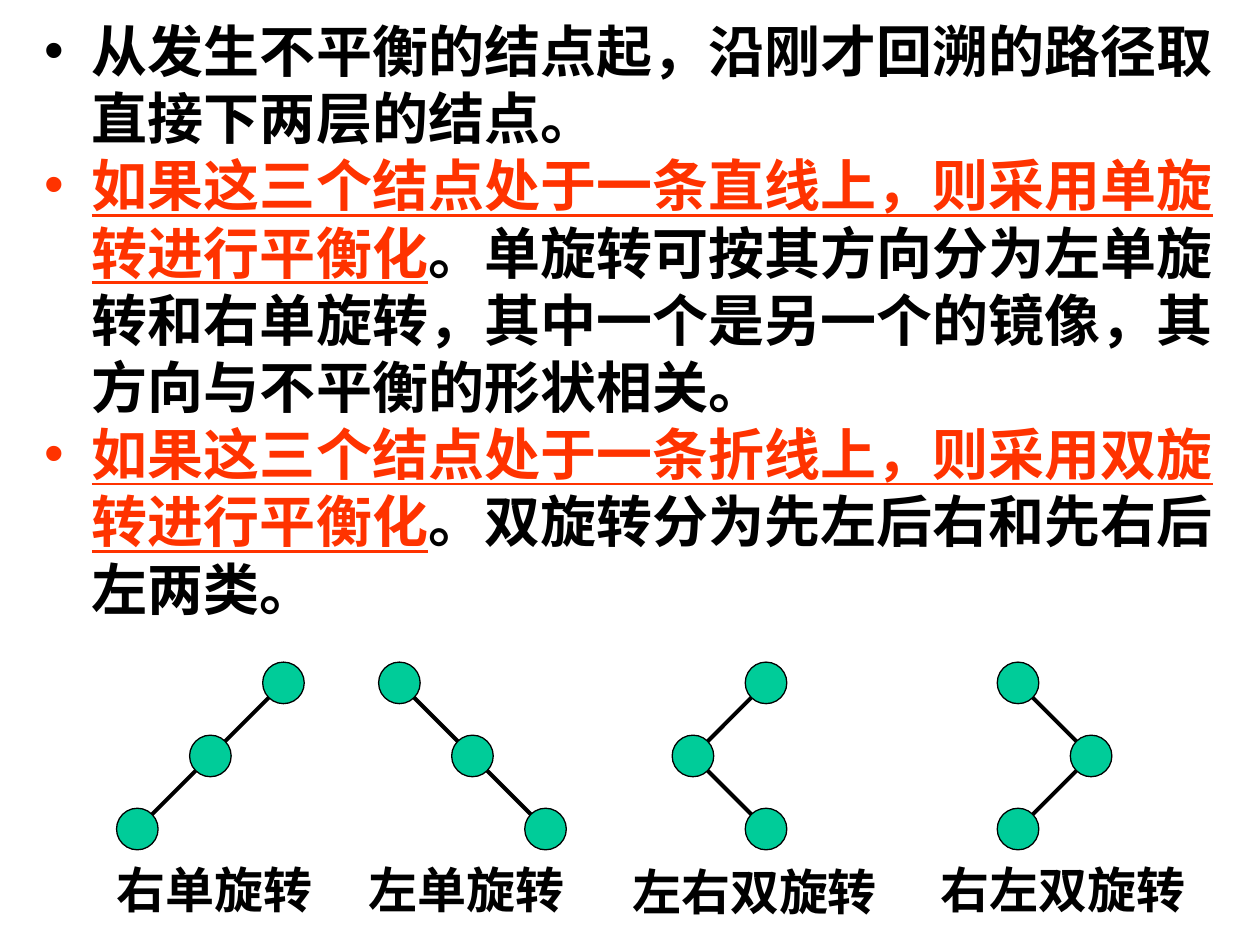
from dataclasses import dataclass

from lxml.etree import SubElement
from pptx import Presentation
from pptx.dml.color import RGBColor
from pptx.enum.shapes import MSO_CONNECTOR, MSO_SHAPE
from pptx.enum.text import MSO_ANCHOR, MSO_AUTO_SIZE
from pptx.oxml.ns import qn
from pptx.util import Inches, Pt


@dataclass(frozen=True)
class Theme:
    font: str = "Noto Sans CJK SC"
    ink: RGBColor = RGBColor(0, 0, 0)
    key: RGBColor = RGBColor(0xFF, 0x33, 0x00)
    node: RGBColor = RGBColor(0x00, 0xCC, 0x99)
    body: float = 32
    label: float = 28
    edge: float = 2.25
    rim: float = 0.75


class Deck:
    def __init__(self, theme):
        self.theme = theme
        self.file = Presentation()
        self.file.slide_width, self.file.slide_height = Inches(10), Inches(7.5)
        self.slide = self.file.slides.add_slide(self.file.slide_layouts[1])
        title = self.slide.shapes.title.element
        title.getparent().remove(title)

    def run(self, para, text, size, key=False):
        run = para.add_run()
        run.text = text
        style = {"size": Pt(size), "bold": True, "underline": key, "name": self.theme.font}
        for name, value in style.items():
            setattr(run.font, name, value)
        run.font.color.rgb = self.theme.key if key else self.theme.ink
        SubElement(run.font._element, qn("a:ea"), typeface=self.theme.font)

    def bullets(self, items, left, top, width, height):
        """Fill the body placeholder; each item is a list of (text, key) runs."""
        box = self.slide.placeholders[1]
        place = {"left": left, "top": top, "width": width, "height": height}
        for name, value in place.items():
            setattr(box, name, Inches(value))
        frame = box.text_frame
        frame.auto_size = MSO_AUTO_SIZE.NONE
        frame.vertical_anchor = MSO_ANCHOR.TOP
        for i, item in enumerate(items):
            para = frame.paragraphs[0] if i == 0 else frame.add_paragraph()
            para.space_before = Pt(0)
            props = para._p.get_or_add_pPr()
            props.set("marL", str(Inches(0.38)))
            props.set("indent", str(-Inches(0.38)))
            SubElement(props, qn("a:buFont"), typeface="Arial")
            SubElement(props, qn("a:buChar"), char="•")
            for text, key in item:
                self.run(para, text, self.theme.body, key)

    def label(self, text, left, top, width, height):
        box = self.slide.shapes.add_textbox(*map(Inches, (left, top, width, height)))
        box.text_frame.word_wrap = False
        box.text_frame.auto_size = MSO_AUTO_SIZE.SHAPE_TO_FIT_TEXT
        self.run(box.text_frame.paragraphs[0], text, self.theme.label)

    def edge(self, start, end):
        line = self.slide.shapes.add_connector(
            MSO_CONNECTOR.STRAIGHT, *map(Inches, (*start, *end)))
        line.line.color.rgb = self.theme.ink
        line.line.width = Pt(self.theme.edge)
        SubElement(line._element.spPr, qn("a:effectLst"))

    def node(self, x, y, size=0.33):
        dot = self.slide.shapes.add_shape(
            MSO_SHAPE.OVAL, *map(Inches, (x - size / 2, y - size / 2, size, size)))
        dot.shadow.inherit = False
        dot.fill.solid()
        dot.fill.fore_color.rgb = self.theme.node
        dot.line.color.rgb = self.theme.ink
        dot.line.width = Pt(self.theme.rim)

    def tree(self, root, steps, top=5.42, gap=0.58):
        """Draw three nodes; steps are their column offsets from the root."""
        spots = [(root + step * gap, top + row * gap) for row, step in enumerate(steps)]
        straight = steps[2] == 2 * steps[1]
        bends = spots[::2] if straight else spots
        for start, end in zip(bends, bends[1:]):
            self.edge(start, end)
        for spot in spots:
            self.node(*spot)


def main():
    deck = Deck(Theme())
    deck.bullets([
        [("从发生不平衡的结点起，沿刚才回溯的路径取直接下两层的结点。", False)],
        [("如果这三个结点处于一条直线上，则采用单旋转进行平衡化", True),
         ("。单旋转可按其方向分为左单旋转和右单旋转，其中一个是另一个的镜像，"
          "其方向与不平衡的形状相关。", False)],
        [("如果这三个结点处于一条折线上，则采用双旋转进行平衡化", True),
         ("。双旋转分为先左后右和先右后左两类。", False)],
    ], 0.25, 0.08, 9.83, 4.83)

    trees = [
        (2.25, (0, -1, -2), "右单旋转", 0.83, 6.77, 1.78),
        (3.17, (0, 1, 2), "左单旋转", 2.83, 6.77, 1.78),
        (6.08, (0, -1, 0), "左右双旋转", 4.92, 6.79, 2.17),
        (8.08, (0, 1, 0), "右左双旋转", 7.37, 6.77, 2.17),
    ]
    for root, steps, text, left, top, width in trees:
        deck.tree(root, steps)
        deck.label(text, left, top, width, 0.57)
    deck.file.save("out.pptx")


if __name__ == "__main__":
    main()
